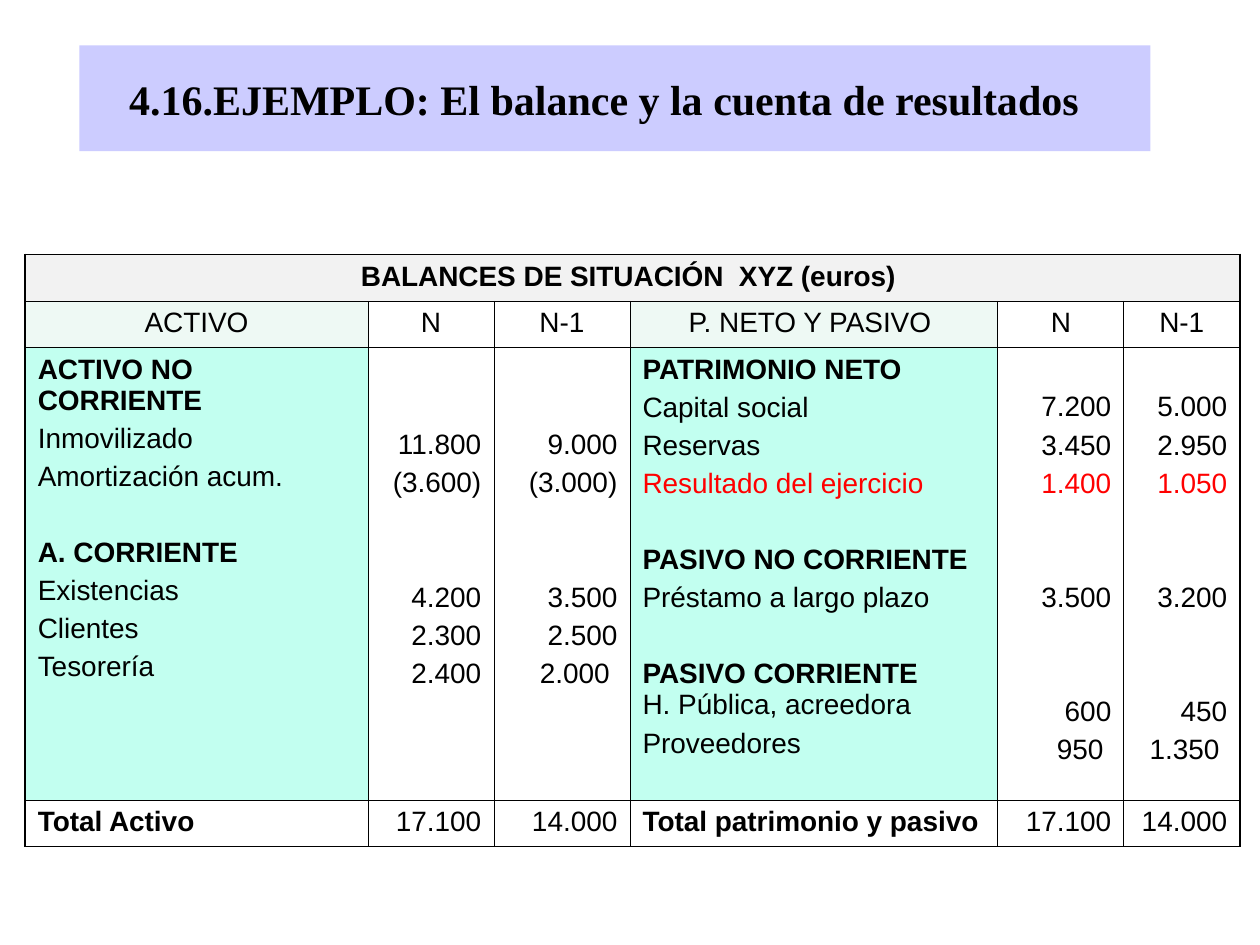
from dataclasses import dataclass

import lxml.etree
import pptx
import pptx.dml.color
import pptx.enum.text
import pptx.oxml.ns
import pptx.table
import pptx.util
from pptx.util import Inches

Color = pptx.dml.color.RGBColor
Align = pptx.enum.text.PP_ALIGN
Anchor = pptx.enum.text.MSO_ANCHOR


@dataclass(frozen=True)
class Theme:
    text: Color = Color.from_string("000000")
    result: Color = Color.from_string("FF0000")
    banner: Color = Color.from_string("CCCCFF")
    caption: Color = Color.from_string("F2F2F2")
    heading: Color = Color.from_string("EEF9F4")
    accounts: Color = Color.from_string("C2FFF0")
    title_font: str = "Times New Roman"
    table_font: str = "Arial"
    title_size: float = 24
    table_size: float = 16
    space_before: float = 4
    line_pitch: float = 21.75
    inner_border: float = 0.45
    outer_border: float = 1.08


THEME = Theme()


@dataclass(frozen=True)
class Line:
    text: str
    bold: bool = False
    color: Color = THEME.text
    skipped_lines: int = 0
    tight: bool = False


@dataclass(frozen=True)
class CellContent:
    lines: list[Line]
    align: Align = Align.LEFT
    fill: Color | None = None
    top_margin: float = 0.05


def bold(text: str, skipped_lines: int = 0) -> Line:
    return Line(text, bold=True, skipped_lines=skipped_lines)


def heading(text: str, fill: Color | None = None) -> CellContent:
    return CellContent([Line(text)], Align.CENTER, fill)


def amounts(lines: list[Line], top_margin: float = 0.05) -> CellContent:
    return CellContent(lines, Align.RIGHT, top_margin=top_margin)


def asset_amounts(fixed: str, depreciation: str, stock: str, clients: str, cash: str) -> CellContent:
    return amounts([Line(fixed), Line(depreciation), Line(stock, skipped_lines=2),
                    Line(clients), Line(cash)], top_margin=0.65)


def liability_amounts(capital: str, reserves: str, result: str, loan: str,
                      tax: str, suppliers: str) -> CellContent:
    return amounts([Line(capital), Line(reserves), Line(result, color=THEME.result),
                    Line(loan, skipped_lines=2), Line(tax, skipped_lines=2),
                    Line(suppliers)], top_margin=0.35)


ASSETS = CellContent([
    bold("ACTIVO NO CORRIENTE"), Line("Inmovilizado"), Line("Amortización acum."),
    bold("A. CORRIENTE", skipped_lines=1), Line("Existencias"), Line("Clientes"),
    Line("Tesorería"),
], fill=THEME.accounts)

LIABILITIES = CellContent([
    bold("PATRIMONIO NETO"), Line("Capital social"), Line("Reservas"),
    Line("Resultado del ejercicio", color=THEME.result),
    bold("PASIVO NO CORRIENTE", skipped_lines=1), Line("Préstamo a largo plazo"),
    bold("PASIVO CORRIENTE", skipped_lines=1),
    Line("H. Pública, acreedora", tight=True), Line("Proveedores"),
], fill=THEME.accounts)

CAPTION = CellContent([bold("BALANCES DE SITUACIÓN  XYZ (euros) ")], Align.CENTER, THEME.caption)
YEARS = [heading("N"), heading("N-1")]
TOTALS = [amounts([Line("17.100")]), amounts([Line("14.000")])]

ROWS = [
    [CAPTION] + [CellContent([])] * 5,
    [heading("ACTIVO", THEME.heading), *YEARS,
     heading("P. NETO Y PASIVO ", THEME.heading), *YEARS],
    [ASSETS,
     asset_amounts("11.800", "(3.600)", "4.200", "2.300", "2.400"),
     asset_amounts("9.000", "(3.000)", "3.500", "2.500", "2.000 "),
     LIABILITIES,
     liability_amounts("7.200", "3.450", "1.400", "3.500", "600", "950 "),
     liability_amounts("5.000", "2.950", "1.050", "3.200", "450", "1.350 ")],
    [CellContent([bold("Total Activo")]), *TOTALS,
     CellContent([bold("Total patrimonio y pasivo")]), *TOTALS],
]
COLUMN_WIDTHS = [2.72, 1, 1.08, 2.92, 1, 0.92]
ROW_HEIGHTS = [0.37, 0.37, 3.59, 0.37]


def add_run(paragraph, text: str, font_name: str, size: float, is_bold: bool, color: Color) -> None:
    run = paragraph.add_run()
    run.text = text
    run.font.name = font_name
    run.font.size = pptx.util.Pt(size)
    run.font.bold = is_bold
    run.font.color.rgb = color


def set_borders(cell: pptx.table._Cell, outer_sides: set[str]) -> None:
    """Draw all four borders, heavier on the sides at the table's edge."""
    properties = cell._tc.get_or_add_tcPr()
    qualified = pptx.oxml.ns.qn
    for position, side in enumerate("LRTB"):
        width = THEME.outer_border if side in outer_sides else THEME.inner_border
        border = lxml.etree.Element(qualified(f"a:ln{side}"), w=str(int(pptx.util.Pt(width))))
        fill = lxml.etree.SubElement(border, qualified("a:solidFill"))
        lxml.etree.SubElement(fill, qualified("a:srgbClr"), val=str(THEME.text))
        properties.insert(position, border)


def fill_cell(cell: pptx.table._Cell, content: CellContent) -> None:
    cell.margin_top = Inches(content.top_margin)
    cell.vertical_anchor = Anchor.TOP
    if content.fill is None:
        cell.fill.background()
    else:
        cell.fill.solid()
        cell.fill.fore_color.rgb = content.fill
    for index, line in enumerate(content.lines):
        paragraph = cell.text_frame.add_paragraph() if index else cell.text_frame.paragraphs[0]
        paragraph.alignment = content.align
        spacing = 0 if line.tight else THEME.space_before
        paragraph.space_before = pptx.util.Pt(spacing + line.skipped_lines * THEME.line_pitch)
        add_run(paragraph, line.text, THEME.table_font, THEME.table_size, line.bold, line.color)


def add_balance_table(slide) -> None:
    table = slide.shapes.add_table(
        len(ROWS), len(COLUMN_WIDTHS), Inches(0.2), Inches(2.02),
        Inches(sum(COLUMN_WIDTHS)), Inches(sum(ROW_HEIGHTS))).table
    table.first_row = False
    table.horz_banding = False
    for column, width in zip(table.columns, COLUMN_WIDTHS):
        column.width = Inches(width)
    last_row, last_column = len(ROWS) - 1, len(COLUMN_WIDTHS) - 1
    table.cell(0, 0).merge(table.cell(0, last_column))
    for row_index, (contents, height) in enumerate(zip(ROWS, ROW_HEIGHTS)):
        table.rows[row_index].height = Inches(height)
        for column_index, content in enumerate(contents):
            cell = table.cell(row_index, column_index)
            fill_cell(cell, content)
            edges = {"L": column_index == 0,
                     "R": column_index == last_column or cell.is_merge_origin,
                     "T": row_index == 0, "B": row_index == last_row}
            set_borders(cell, {side for side, is_outer in edges.items() if is_outer})


def format_title(title) -> None:
    title.left, title.top = Inches(0.63), Inches(0.36)
    title.width, title.height = Inches(8.5), Inches(0.84)
    title.fill.solid()
    title.fill.fore_color.rgb = THEME.banner
    frame = title.text_frame
    frame.vertical_anchor = Anchor.MIDDLE
    frame.margin_right = Inches(0.27)
    paragraph = frame.paragraphs[0]
    paragraph.alignment = Align.CENTER
    add_run(paragraph, "4.16.EJEMPLO: El balance y la cuenta de resultados",
            THEME.title_font, THEME.title_size, True, THEME.text)


def main() -> None:
    presentation = pptx.Presentation()
    presentation.slide_width, presentation.slide_height = Inches(10), Inches(7.5)
    slide = presentation.slides.add_slide(presentation.slide_layouts.get_by_name("Title Only"))
    add_balance_table(slide)
    format_title(slide.shapes.title)
    presentation.save("out.pptx")


if __name__ == "__main__":
    main()
